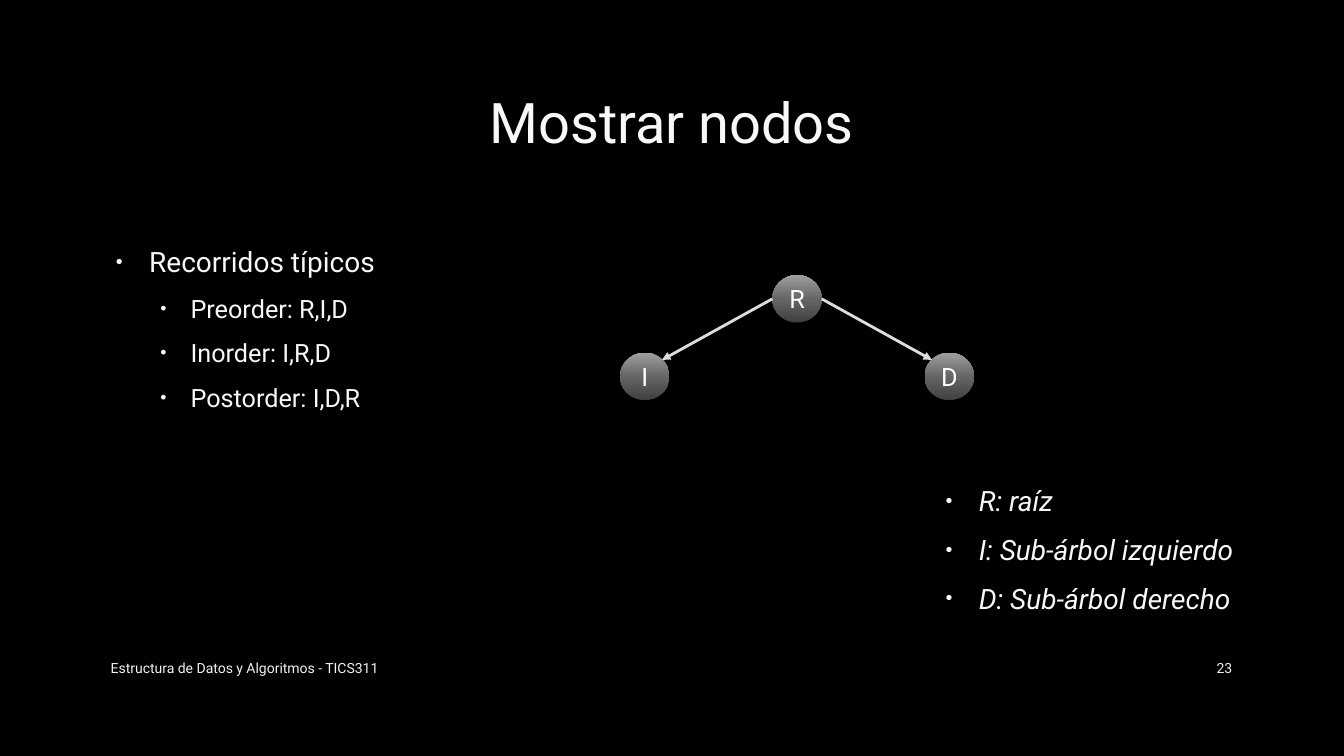
from copy import deepcopy

from lxml import etree
from pptx import Presentation
from pptx.dml.color import RGBColor
from pptx.enum.shapes import MSO_CONNECTOR, MSO_SHAPE
from pptx.enum.text import MSO_ANCHOR, MSO_AUTO_SIZE, PP_ALIGN
from pptx.oxml.ns import qn
from pptx.util import Inches, Pt

STRAIGHT = MSO_CONNECTOR.STRAIGHT
ELLIPSE = MSO_SHAPE.OVAL
TOP, MIDDLE = MSO_ANCHOR.TOP, MSO_ANCHOR.MIDDLE
LEFT, CENTER, RIGHT = PP_ALIGN.LEFT, PP_ALIGN.CENTER, PP_ALIGN.RIGHT
NO_AUTOFIT = MSO_AUTO_SIZE.NONE

FONT = "Roboto"
COLORS = {
    "background": "000000",
    "text": "F8F8F8",
    "footer": "F2F2F2",
    "node_text": "FFFFFF",
    "arrow": "DDDDDD",
    "node_bottom": "404040",
    "node_middle": "646464",
    "node_top": "9F9F9F",
}
NODE_STOPS = [(0, "node_bottom"), (0.48, "node_middle"), (1, "node_top")]
NODE_WIDTH, NODE_HEIGHT = 0.49, 0.47
LEVELS = [(20, 0.38, -0.33), (18, 0.79, -0.30)]


def rgb(name):
    return RGBColor.from_string(COLORS[name])


def place(shape, box):
    shape.left, shape.top, shape.width, shape.height = map(Inches, box)


def format_paragraph(paragraph, size, color, align=LEFT, italic=False):
    paragraph.alignment = align
    for run in paragraph.runs:
        run.font.name = FONT
        run.font.size = Pt(size)
        run.font.italic = italic
        run.font.color.rgb = rgb(color)


def write_line(shape, text, size, color, align):
    frame = shape.text_frame
    frame.auto_size = NO_AUTOFIT
    frame.word_wrap = True
    frame.vertical_anchor = MIDDLE
    frame.text = text
    format_paragraph(frame.paragraphs[0], size, color, align)


def set_bullet(paragraph, indent, hanging):
    props = paragraph._p.get_or_add_pPr()
    props.set("marL", str(Inches(indent)))
    props.set("indent", str(Inches(hanging)))
    bullet_color = etree.SubElement(props, qn("a:buClr"))
    etree.SubElement(bullet_color, qn("a:srgbClr"), val=COLORS["text"])
    etree.SubElement(props, qn("a:buSzPct"), val="70000")
    etree.SubElement(props, qn("a:buFont"), typeface="Arial")
    etree.SubElement(props, qn("a:buChar"), char="•")


def write_list(shape, items, italic=False):
    frame = shape.text_frame
    frame.auto_size = NO_AUTOFIT
    frame.word_wrap = True
    frame.vertical_anchor = TOP
    frame.margin_top = Inches(0.54)
    frame.text = "\n".join(text for text, _ in items)
    for index, (paragraph, (_, level)) in enumerate(zip(frame.paragraphs, items)):
        size, indent, hanging = LEVELS[level]
        paragraph.level = level
        paragraph.space_before = Pt(0.235 * size if index else 0)
        paragraph.space_after = Pt(6)
        format_paragraph(paragraph, size, "text", italic=italic)
        set_bullet(paragraph, indent, hanging)


def add_title(slide, box):
    title = slide.shapes.title
    place(title, box)
    write_line(title, "Mostrar nodos", 40, "text", CENTER)


def add_traversals(slide, box):
    traversals = slide.placeholders[1]
    place(traversals, box)
    write_list(traversals, [
        ("Recorridos típicos", 0),
        ("Preorder: R,I,D", 1),
        ("Inorder: I,R,D", 1),
        ("Postorder: I,D,R", 1),
    ])


def add_node(slide, letter, left, top):
    node = slide.shapes.add_shape(
        ELLIPSE, *map(Inches, (left, top, NODE_WIDTH, NODE_HEIGHT)))
    node.shadow.inherit = False
    node.line.fill.background()
    node.fill.gradient()
    node.fill.gradient_angle = 90
    stop_list = node._element.spPr.find(".//" + qn("a:gsLst"))
    stop_list.insert(1, deepcopy(stop_list[0]))
    for stop, (position, color) in zip(node.fill.gradient_stops, NODE_STOPS):
        stop.position = position
        stop.color.rgb = rgb(color)
    write_line(node, letter, 18, "node_text", CENTER)
    frame = node.text_frame
    frame.margin_left = frame.margin_right = 0
    frame.margin_top = frame.margin_bottom = 0


def add_arrow(slide, start, end):
    arrow = slide.shapes.add_connector(STRAIGHT, *map(Inches, start + end))
    arrow.line.color.rgb = rgb("arrow")
    arrow.line.width = Pt(2)
    etree.SubElement(arrow.line._get_or_add_ln(), qn("a:tailEnd"), type="triangle")
    etree.SubElement(arrow._element.spPr, qn("a:effectLst"))


def add_tree(slide, box):
    left, top, width, height = box
    center = left + width / 2
    child_top = top + height - NODE_HEIGHT
    add_node(slide, "R", center - NODE_WIDTH / 2, top)
    for letter, side in (("I", -1), ("D", 1)):
        child_center = center + side * (width - NODE_WIDTH) / 2
        add_node(slide, letter, child_center - NODE_WIDTH / 2, child_top)
        add_arrow(
            slide,
            (center + side * NODE_WIDTH / 2, top + NODE_HEIGHT / 2),
            (child_center - side * 0.35 * NODE_WIDTH,
             child_top + 0.15 * NODE_HEIGHT))


def add_legend(slide, box):
    legend = slide.shapes.add_textbox(*map(Inches, box))
    write_list(legend, [
        ("R: raíz", 0),
        ("I: Sub-árbol izquierdo", 0),
        ("D: Sub-árbol derecho", 0),
    ], italic=True)


def add_footer(slide, box):
    left, top, width, height = box
    number_width = 0.82
    parts = [
        ("Estructura de Datos y Algoritmos - TICS311", left, 7.3, LEFT),
        ("23", left + width - number_width, number_width, RIGHT),
    ]
    for text, part_left, part_width, align in parts:
        part = slide.shapes.add_textbox(
            *map(Inches, (part_left, top, part_width, height)))
        write_line(part, text, 10, "footer", align)


def main():
    deck = Presentation()
    deck.slide_width, deck.slide_height = Inches(13.33), Inches(7.5)
    slide = deck.slides.add_slide(deck.slide_layouts[1])
    slide.background.fill.solid()
    slide.background.fill.fore_color.rgb = rgb("background")
    add_title(slide, (1, 0.67, 11.32, 1.06))
    add_footer(slide, (1, 6.43, 11.32, 0.4))
    add_traversals(slide, (1, 1.89, 11.32, 4.44))
    add_tree(slide, (6.15, 2.73, 3.51, 1.24))
    add_legend(slide, (9.23, 4.26, 4.1, 1.88))
    deck.save("out.pptx")


if __name__ == "__main__":
    main()
